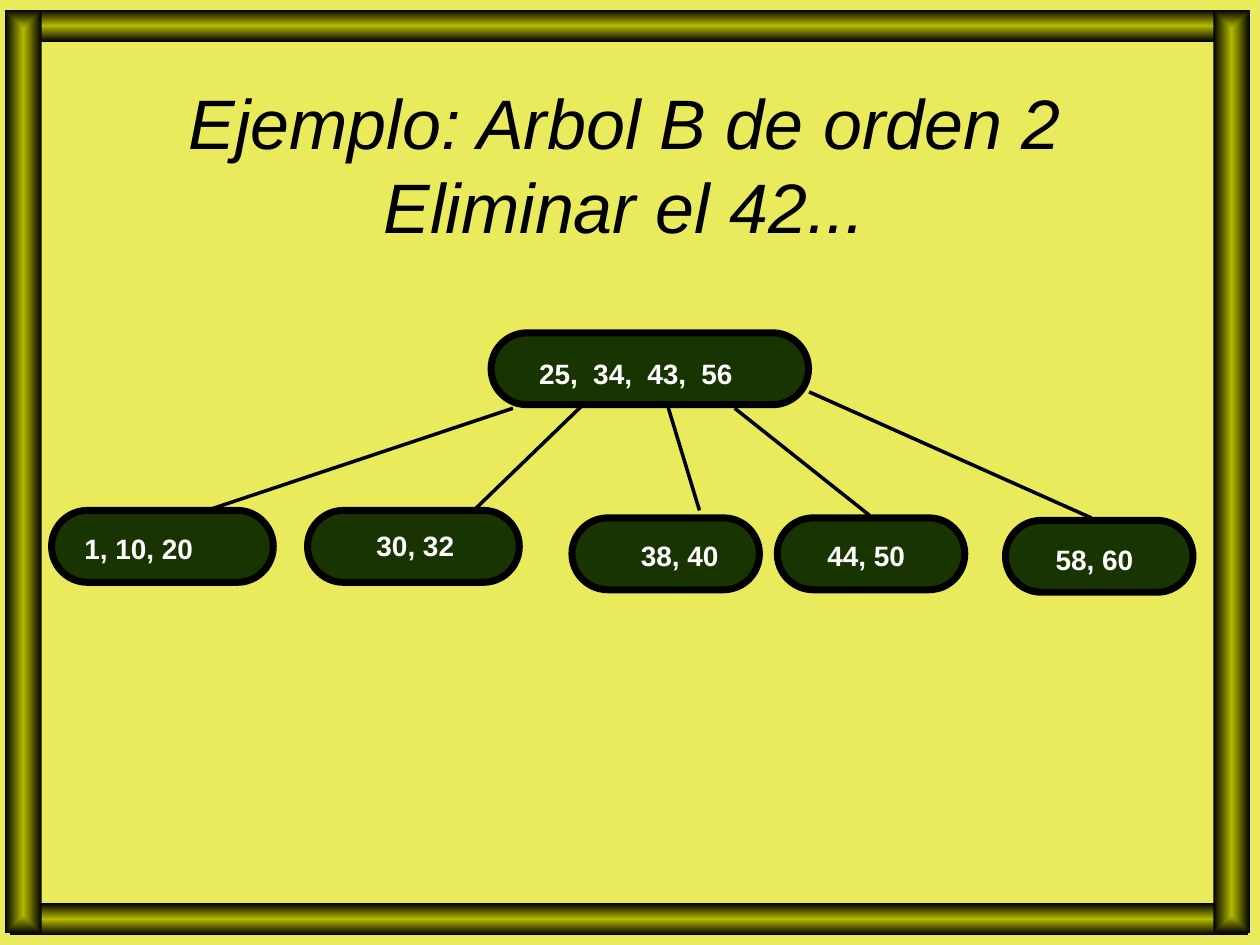
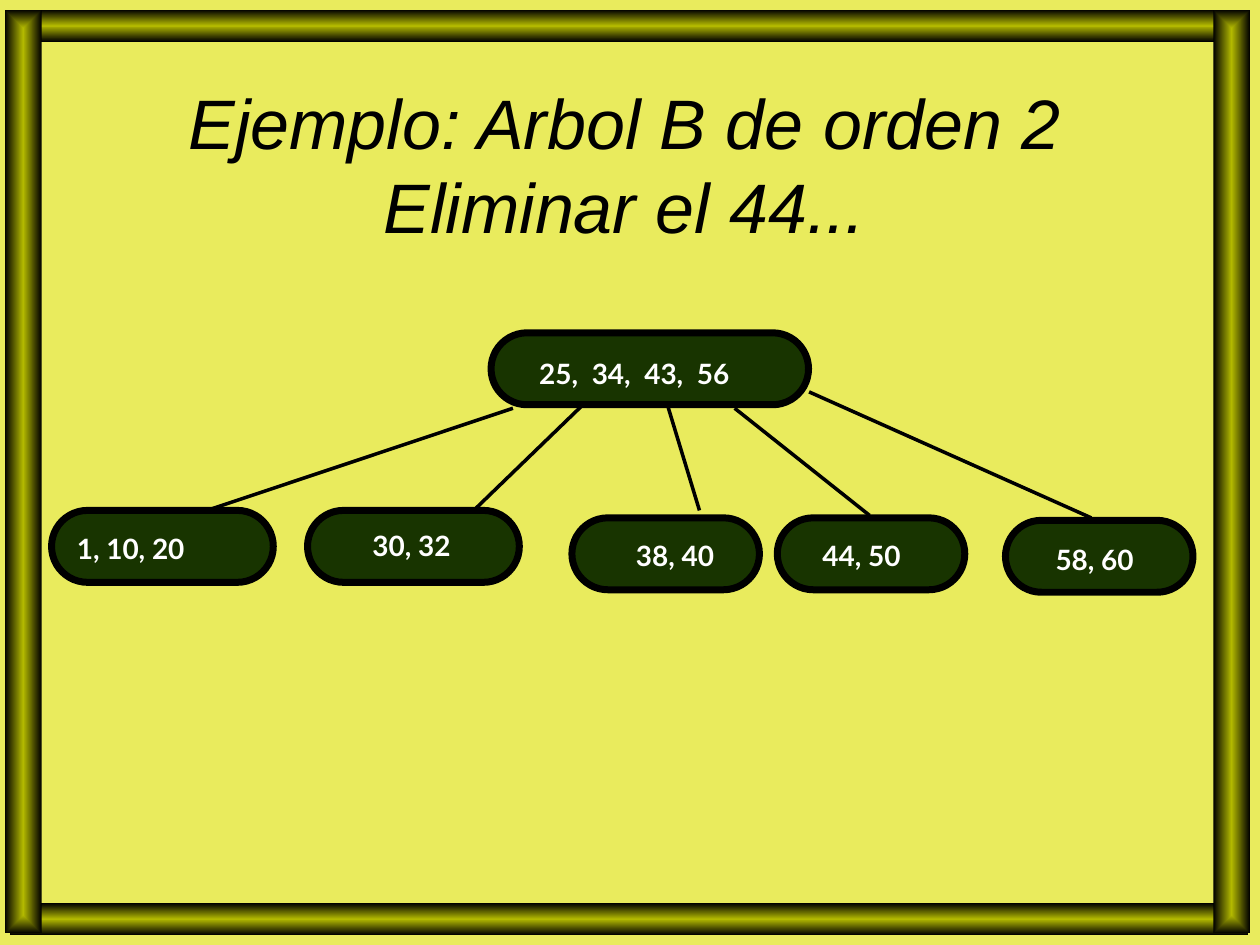
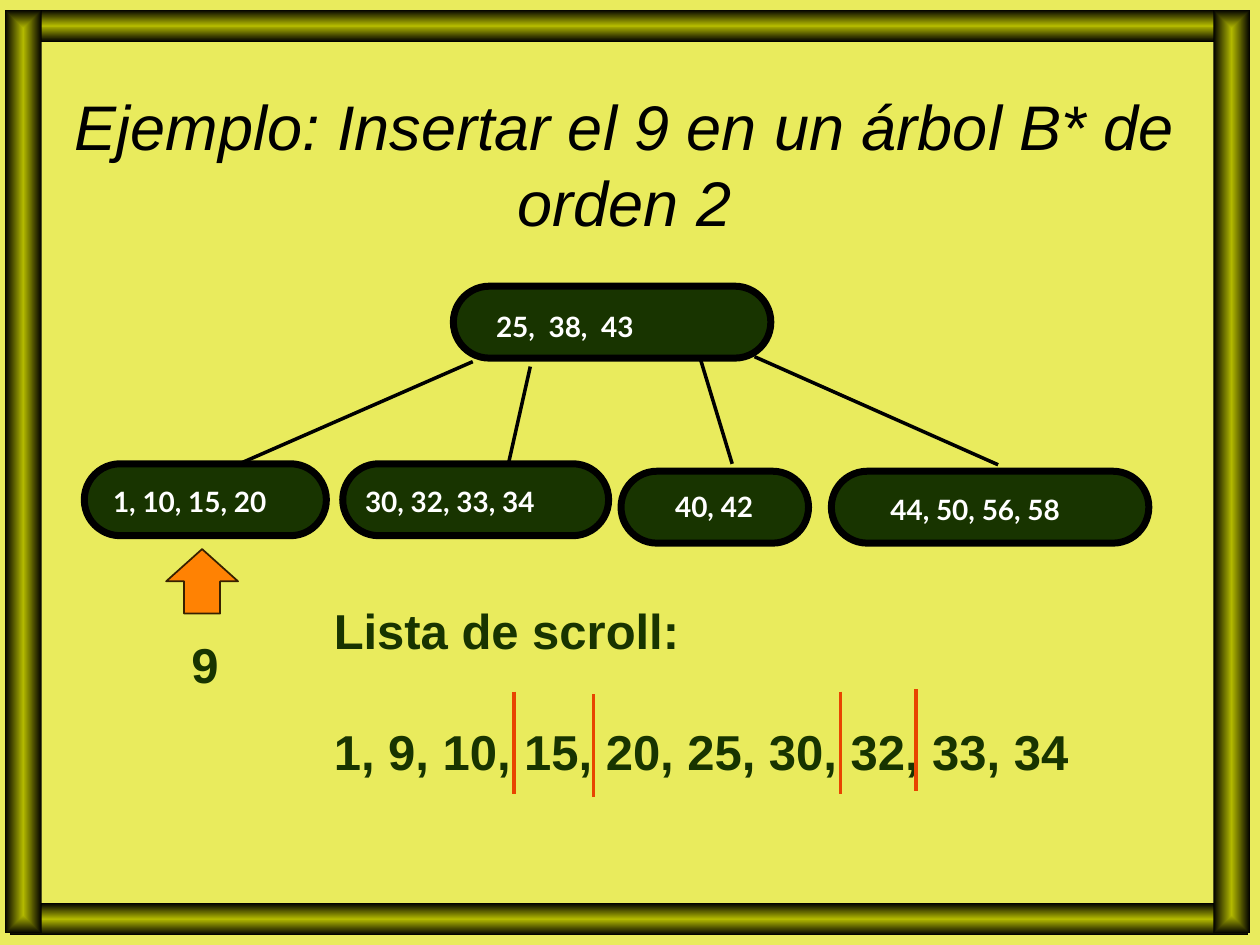
import pptx
import pptx.util
import pptx.dml.color
import pptx.enum.shapes
import pptx.enum.text
import pptx.oxml.ns
import lxml.etree

Cm = pptx.util.Cm
Pt = pptx.util.Pt
RGB = pptx.dml.color.RGBColor.from_string
MSO = pptx.enum.shapes.MSO_SHAPE
qn = pptx.oxml.ns.qn

COLORS = {
    "background": "E9EB5D", "olive": "B3B900", "black": "000000", "green": "183400",
    "white": "FFFFFF", "orange": "FF8203", "brown": "372000", "red": "E84400",
}
FRAME = [(0.2, 0.2, 24.97, 0.64), (0.2, 18.21, 24.97, 0.64),
         (0.1, 0.2, 0.74, 18.62), (24.46, 0.2, 0.74, 18.62)]
NODE_H = 1.45
TITLE = {"name": "Arial", "italic": True}
NOTE = {"name": "Arial", "size": Pt(28), "bold": True}

DELETE_NODES = [(9.9, 6.71, 6.4), (1.04, 10.29, 4.47), (6.2, 10.29, 4.27),
                (11.53, 10.44, 3.78), (15.67, 10.44, 3.78), (20.27, 10.49, 3.78)]
DELETE_EDGES = [(10.34, 8.23, 4.11, 10.31), (11.73, 8.18, 9.6, 10.24),
                (13.46, 8.18, 14.1, 10.29), (14.81, 8.23, 17.53, 10.39),
                (16.31, 7.9, 22, 10.44)]
DELETE_KEYS = ["25,\t34,\t43,\t56", "1, 10, 20", "30, 32", "38, 40", "44, 50", "58, 60"]
DELETE_TOPS = [7.06, 10.59, 10.54, 10.74, 10.74, 10.82]
DELETE_WIDTHS = [6.05, 2.9, 4.1, 2.2, 2.2, 2.87]

SLIDES = [
    {"title": "Ejemplo: Arbol B de orden 2 Eliminar el 42...", "size": 40,
     "font": "Arial", "tab": 1.09, "nodes": DELETE_NODES, "edges": DELETE_EDGES,
     "labels": list(zip(DELETE_KEYS, [10.62, 1.45, 7.34, 12.67, 16.43, 21.03],
                        DELETE_TOPS, DELETE_WIDTHS))},
    {"title": "Ejemplo: Arbol B de orden 2 Eliminar el 44...", "size": 40,
     "font": "Lato", "tab": 1.06, "nodes": DELETE_NODES, "edges": DELETE_EDGES,
     "labels": list(zip(DELETE_KEYS, [10.62, 1.3, 7.26, 12.57, 16.33, 21.03],
                        DELETE_TOPS, DELETE_WIDTHS))},
    {"title": "Ejemplo: Insertar el 9 en un árbol B* de orden 2", "size": 36,
     "font": "Lato", "tab": 1.06,
     "nodes": [(9.14, 5.77, 6.4), (1.7, 9.35, 4.88), (6.91, 9.35, 5.36),
               (12.52, 9.5, 3.78), (16.76, 9.5, 6.4)],
     "edges": [(9.53, 7.29, 4.78, 9.37), (10.69, 7.39, 10.26, 9.3),
               (14.12, 7.24, 14.76, 9.35), (15.21, 7.19, 20.12, 9.37)],
     "labels": [("25,\t38,\t43", 9.75, 6.12, 6.05), ("1, 10, 15, 20", 2.03, 9.65, 3.95),
                ("30, 32, 33, 34", 7.11, 9.65, 4.4), ("40, 42", 13.36, 9.75, 2.2),
                ("44, 50, 56, 58", 17.7, 9.8, 4.4)]},
]


def add_text(s, box, lines, fmt, color, tab=None):
    tf = s.shapes.add_textbox(*map(Cm, box)).text_frame
    tf.word_wrap = True
    for i, line in enumerate(lines):
        p = tf.add_paragraph() if i else tf.paragraphs[0]
        if "\t" in line:
            tabs = lxml.etree.SubElement(p._p.get_or_add_pPr(), qn("a:tabLst"))
            for n in range(line.count("\t")):
                lxml.etree.SubElement(tabs, qn("a:tab"), pos=str(Cm(tab * (n + 1))), algn="l")
        r = p.add_run()
        r.text = line
        r.font.color.rgb = RGB(COLORS[color])
        for key, value in fmt.items():
            setattr(r.font, key, value)
    return tf


def add_line(s, ends, color):
    c = s.shapes.add_connector(pptx.enum.shapes.MSO_CONNECTOR.STRAIGHT, *map(Cm, ends))
    c.line.color.rgb = RGB(COLORS[color])
    c.line.width = Pt(2)
    lxml.etree.SubElement(c._element.spPr, qn("a:effectLst"))


prs = pptx.Presentation()
prs.slide_width, prs.slide_height = Cm(25.4), Cm(19.05)
fill = prs.slide_master.background.fill
fill.solid()
fill.fore_color.rgb = RGB(COLORS["background"])

for data in SLIDES:
    s = prs.slides.add_slide(prs.slide_layouts[6])

    for box in FRAME:
        sp = s.shapes.add_shape(MSO.RECTANGLE, *map(Cm, box))
        sp.shadow.inherit = False
        sp.line.fill.background()
        sp.fill.gradient()
        for stop, color in zip(sp.fill.gradient_stops, ["olive", "black"]):
            stop.color.rgb = RGB(COLORS[color])
        grad = sp._element.spPr.find(qn("a:gradFill"))
        grad.remove(grad.find(qn("a:lin")))
        path = lxml.etree.SubElement(grad, qn("a:path"), path="rect")
        lxml.etree.SubElement(path, qn("a:fillToRect"), l="50000", t="50000", r="50000", b="50000")

    tf = add_text(s, (0.84, 1.7, 23.5, 3.18), [data["title"]],
                  {**TITLE, "size": Pt(data["size"])}, "black")
    tf.vertical_anchor = pptx.enum.text.MSO_ANCHOR.MIDDLE
    tf.paragraphs[0].alignment = pptx.enum.text.PP_ALIGN.CENTER

    for left, top, width in data["nodes"]:
        sp = s.shapes.add_shape(MSO.ROUNDED_RECTANGLE, Cm(left), Cm(top), Cm(width), Cm(NODE_H))
        sp.adjustments[0] = 0.5
        sp.shadow.inherit = False
        sp.fill.solid()
        sp.fill.fore_color.rgb = RGB(COLORS["green"])
        sp.line.color.rgb = RGB(COLORS["black"])
        sp.line.width = Pt(4)

    for ends in data["edges"]:
        add_line(s, ends, "black")

    for keys, left, top, width in data["labels"]:
        add_text(s, (left, top, width, 0.91), [keys],
                 {"name": data["font"], "size": Pt(16), "bold": True}, "white", data["tab"])

sp = s.shapes.add_shape(MSO.UP_ARROW, Cm(3.35), Cm(11.07), Cm(1.45), Cm(1.3))
sp.shadow.inherit = False
sp.fill.solid()
sp.fill.fore_color.rgb = RGB(COLORS["orange"])
sp.line.color.rgb = RGB(COLORS["brown"])
sp.line.width = Pt(1)

add_text(s, (3.61, 12.67, 1.1, 1.42), ["9"], NOTE, "green")
tf = add_text(s, (6.48, 11.99, 15.5, 3.81),
              ["Lista de scroll:", "1, 9, 10, 15, 20, 25, 30, 32, 33, 34"], NOTE, "green")
tf.paragraphs[1].space_before = Pt(35)

for x, top in [(10.36, 13.94), (11.96, 14), (16.94, 13.94), (18.47, 13.89)]:
    add_line(s, (x, top, x, top + 2.06), "red")

prs.save("out.pptx")
